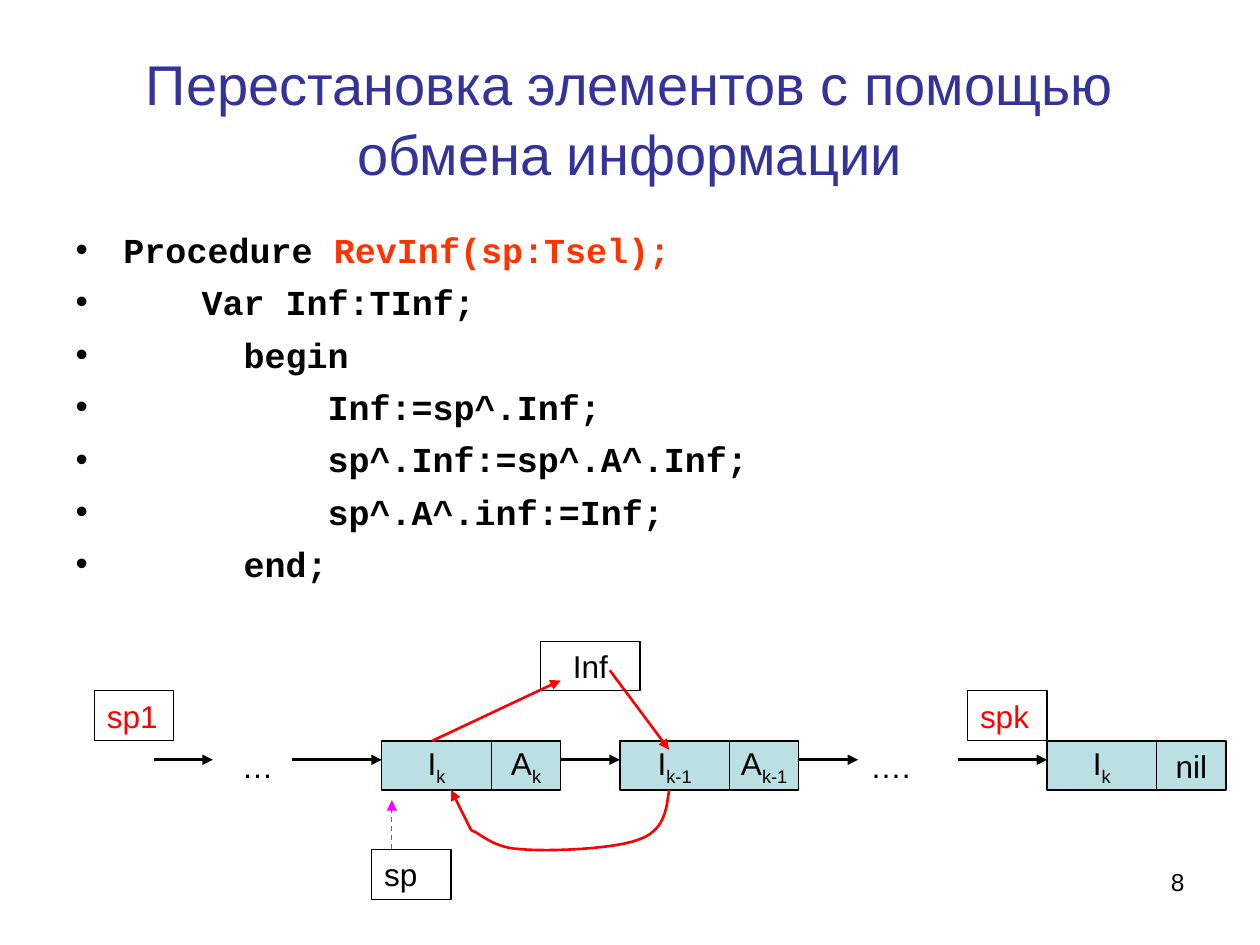
"""Build the slide on swapping list elements by exchanging their information."""
from lxml import etree
from pptx import Presentation
from pptx.dml.color import RGBColor
from pptx.enum.dml import MSO_LINE
from pptx.enum.shapes import MSO_CONNECTOR, MSO_SHAPE
from pptx.enum.text import MSO_ANCHOR, MSO_AUTO_SIZE, PP_ALIGN
from pptx.oxml.ns import qn
from pptx.util import Inches, Pt

LEFT, CENTER, RIGHT = PP_ALIGN.LEFT, PP_ALIGN.CENTER, PP_ALIGN.RIGHT
TOP, MIDDLE = MSO_ANCHOR.TOP, MSO_ANCHOR.MIDDLE
BLACK, RED, MAGENTA = "000000", "FF0000", "FF00FF"
NODE_FILL, TITLE_BLUE, CODE_RED = "BBE0E3", "333399", "FF3300"
ROW_TOP, ARROW_Y, CELL_HEIGHT = 5.88, 6.03, 0.39
INFO_WIDTH, LINK_WIDTH = 0.87, 0.55


def color(value):
    """Return the colour for a hex string."""
    return RGBColor.from_string(value)


def add_label(place, text, subscript="", fill=None, ink=BLACK, size=18,
              align=CENTER, anchor=MIDDLE, border=True):
    """Add a box with a short text and an optional subscript."""
    left, top, width, height = map(Inches, place)
    if border:
        box = page.shapes.add_shape(MSO_SHAPE.RECTANGLE, left, top, width, height)
        box.shadow.inherit = False
        box.line.color.rgb = color(BLACK)
        box.line.width = Pt(0.75)
        if fill:
            box.fill.solid()
            box.fill.fore_color.rgb = color(fill)
        else:
            box.fill.background()
    else:
        box = page.shapes.add_textbox(left, top, width, height)
    frame = box.text_frame
    frame.word_wrap = align != CENTER
    frame.vertical_anchor = anchor
    para = frame.paragraphs[0]
    para.alignment = align
    para.font.name = "Arial"
    para.font.size = Pt(size)
    para.font.color.rgb = color(ink)
    para.add_run().text = text
    if subscript:
        span = para.add_run()
        span.text = subscript
        span._r.get_or_add_rPr().set("baseline", "-25000")


deck = Presentation()
deck.slide_width, deck.slide_height = Inches(10), Inches(7.5)
page = deck.slides.add_slide(deck.slide_layouts[1])

title, body = page.shapes.title, page.placeholders[1]
for holder, top, height, anchor in ((title, 0.3, 1.25, MIDDLE), (body, 1.75, 2.87, TOP)):
    holder.left, holder.top = Inches(0.5), Inches(top)
    holder.width, holder.height = Inches(9), Inches(height)
    holder.text_frame.auto_size = MSO_AUTO_SIZE.NONE
    holder.text_frame.vertical_anchor = anchor

title.text = "Перестановка элементов с помощью обмена информации"
para = title.text_frame.paragraphs[0]
para.alignment = CENTER
para.line_spacing = 1.04
para.font.name = "Arial"
para.font.size = Pt(32)
para.font.color.rgb = color(TITLE_BLUE)

code = [
    [("Procedure ", BLACK), ("RevInf(sp:Tsel);", CODE_RED)],
    [("\tVar Inf:TInf;", BLACK)],
    [("\t  begin", BLACK)],
    [("\t\tInf:=sp^.Inf;", BLACK)],
    [("\t\tsp^.Inf:=sp^.A^.Inf;", BLACK)],
    [("\t\tsp^.A^.inf:=Inf;", BLACK)],
    [("\t  end;", BLACK)],
]
for number, line in enumerate(code):
    frame = body.text_frame
    para = frame.add_paragraph() if number else frame.paragraphs[0]
    para.line_spacing = 1.04
    para.space_before = Pt(5 if number else 0)
    props = para._p.get_or_add_pPr()
    props.set("marL", str(Inches(0.38)))
    props.set("indent", str(Inches(-0.38)))
    bullet_color = etree.SubElement(props, qn("a:buClr"))
    etree.SubElement(bullet_color, qn("a:srgbClr"), val=BLACK)
    etree.SubElement(props, qn("a:buFont"), typeface="Arial")
    etree.SubElement(props, qn("a:buChar"), char="•")
    tabs = etree.SubElement(props, qn("a:tabLst"))
    for stop in (1, 2):
        etree.SubElement(tabs, qn("a:tab"), pos=str(Inches(stop)), algn="l")
    para.font.name = "Courier New"
    para.font.size = Pt(20)
    para.font.bold = True
    for text, ink in line:
        span = para.add_run()
        span.text = text
        span.font.color.rgb = color(ink)

nodes = [(3.03, "k", "A", "k"), (4.92, "k-1", "A", "k-1"), (8.31, "k", "nil", "")]
for left, info_index, link, link_index in nodes:
    add_label((left, ROW_TOP, INFO_WIDTH, CELL_HEIGHT), "I", info_index, NODE_FILL)
    add_label((left + INFO_WIDTH, ROW_TOP, LINK_WIDTH, CELL_HEIGHT), link, link_index, NODE_FILL)

pointers = [(0.75, 5.48, "sp1", RED), (7.68, 5.48, "spk", RED), (2.95, 6.74, "sp", BLACK)]
for left, top, text, ink in pointers:
    add_label((left, top, 0.63, 0.4), text, ink=ink, align=LEFT, anchor=TOP)

add_label((4.29, 5.09, 0.79, CELL_HEIGHT), "Inf")
add_label((1.77, ROW_TOP, 0.55, CELL_HEIGHT), "…", border=False)
add_label((6.81, ROW_TOP, 0.71, 0.4), "….", align=LEFT, anchor=TOP, border=False)
add_label((7.17, 6.83, 2.33, 0.52), "8", size=14, align=RIGHT, anchor=TOP, border=False)

start = (5.31, 6.27)
curves = [
    ((5.29, 6.43), (5.27, 6.59), (5.08, 6.66)),
    ((4.88, 6.74), (4.36, 6.76), (4.13, 6.74)),
    ((3.91, 6.73), (3.81, 6.61), (3.74, 6.59)),
]
points = [start]
for first, second, end in curves:
    begin = points[-1]
    for step in range(1, 13):
        t = step / 12
        weights = ((1 - t) ** 3, 3 * t * (1 - t) ** 2, 3 * t ** 2 * (1 - t), t ** 3)
        corners = (begin, first, second, end)
        points.append(tuple(sum(w * c[axis] for w, c in zip(weights, corners)) for axis in (0, 1)))
builder = page.shapes.build_freeform(Inches(start[0]), Inches(start[1]))
builder.add_line_segments([(Inches(x), Inches(y)) for x, y in points[1:]], close=False)
swap_curve = builder.convert_to_shape()
swap_curve.shadow.inherit = False
swap_curve.fill.background()
swap_curve.line.color.rgb = color(RED)
swap_curve.line.width = Pt(1.5)

list_spans = [(1.22, 1.69), (2.32, 3.03), (4.45, 4.92), (6.34, 6.81), (7.6, 8.31)]
arrows = [(x1, ARROW_Y, x2, ARROW_Y, BLACK, 1.5) for x1, x2 in list_spans] + [
    (3.11, 6.74, 3.11, 6.35, MAGENTA, 0.75),
    (3.43, 5.88, 4.45, 5.4, RED, 1.5),
    (4.84, 5.32, 5.31, 5.95, RED, 1.5),
    (3.74, 6.59, 3.58, 6.27, RED, 1.5),
]
for *ends, ink, width in arrows:
    arrow = page.shapes.add_connector(MSO_CONNECTOR.STRAIGHT, *map(Inches, ends))
    arrow.line.color.rgb = color(ink)
    arrow.line.width = Pt(width)
    if ink == MAGENTA:
        arrow.line.dash_style = MSO_LINE.DASH
    etree.SubElement(arrow.line._get_or_add_ln(), qn("a:tailEnd"), type="triangle")
    etree.SubElement(arrow._element.spPr, qn("a:effectLst"))

deck.save("out.pptx")
